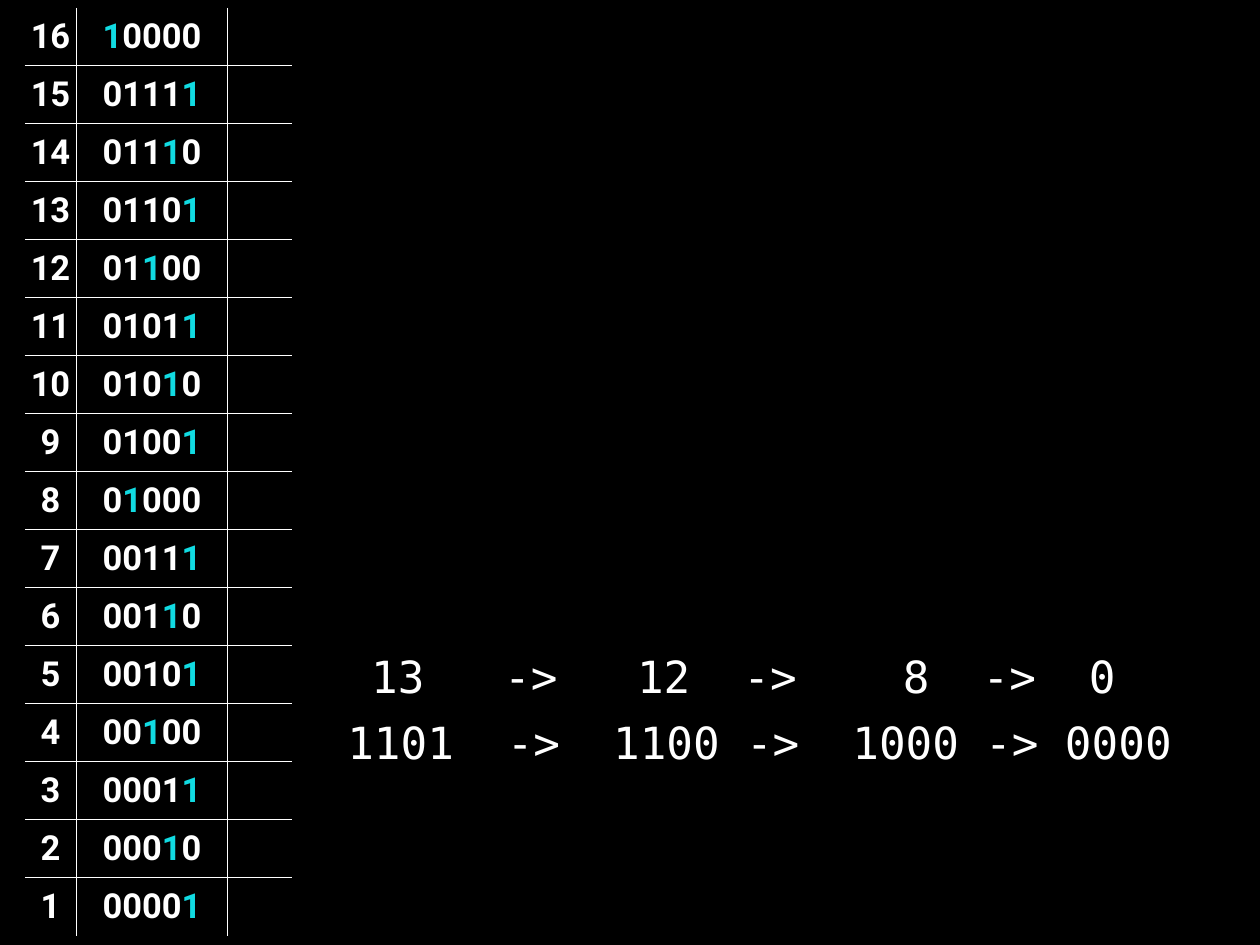
from pptx import Presentation, util as u
from pptx.dml import color as dml
from pptx.enum import text as t
from pptx.oxml import parse_xml
from pptx.oxml import ns

WHITE, CYAN, BLACK = "FFFFFF", "11DBE2", "000000"


def rgb(value):
    return dml.RGBColor.from_string(value)


def add_text(para, content, font="Roboto", size=28, color=WHITE, bold=False):
    span = para.add_run()
    span.text = content
    span.font.name = font
    span.font.size = u.Pt(size)
    span.font.bold = bold
    span.font.color.rgb = rgb(color)


class BitSlide:
    inset = 0.06
    line_width = 1
    line_color = WHITE
    mono_font = "DejaVu Sans Mono"
    mono_size = 36
    mono_advance = 0.3

    def __init__(self, deck):
        self.page = deck.slides.add_slide(deck.slide_layouts[6])
        self.page.background.fill.solid()
        self.page.background.fill.fore_color.rgb = rgb(BLACK)

    def set_margins(self, holder):
        for side in ("left", "top", "right", "bottom"):
            setattr(holder, f"margin_{side}", u.Inches(self.inset))
        holder.vertical_anchor = t.MSO_ANCHOR.MIDDLE

    def set_borders(self, cell, visible):
        properties = cell._tc.get_or_add_tcPr()
        for side in "LRTB":
            paint = "<a:noFill/>"
            if side in visible:
                paint = f'<a:solidFill><a:srgbClr val="{self.line_color}"/></a:solidFill>'
            properties.append(parse_xml(
                f'<a:ln{side} {ns.nsdecls("a")} w="{u.Pt(self.line_width)}">{paint}</a:ln{side}>'))

    def add_bit_table(self, left, top, widths, row_height, numbers):
        frame = self.page.shapes.add_table(
            len(numbers), len(widths), u.Inches(left), u.Inches(top),
            u.Inches(sum(widths)), u.Inches(row_height * len(numbers)))
        table = frame.table
        table.first_row = table.horz_banding = False
        for column, width in zip(table.columns, widths):
            column.width = u.Inches(width)
        for row, number in enumerate(numbers):
            table.rows[row].height = u.Inches(row_height)
            bits = f"{number:05b}"
            lowest = bits.rindex("1")
            contents = (
                [(str(number), WHITE)],
                [(bits[:lowest], WHITE), ("1", CYAN), (bits[lowest + 1:], WHITE)],
                [],
            )
            for col, spans in enumerate(contents):
                cell = table.cell(row, col)
                self.set_margins(cell)
                inner = {"L": col > 0, "R": col < len(widths) - 1,
                         "T": row > 0, "B": row < len(numbers) - 1}
                self.set_borders(cell, [side for side in inner if inner[side]])
                cell.fill.background()
                para = cell.text_frame.paragraphs[0]
                para.alignment = t.PP_ALIGN.CENTER
                for content, color in spans:
                    if content:
                        add_text(para, content, color=color, bold=True)

    def add_chain(self, left, top, width, height, steps, columns):
        box = self.page.shapes.add_textbox(
            u.Inches(left), u.Inches(top), u.Inches(width), u.Inches(height))
        box.text_frame.word_wrap = True
        self.set_margins(box.text_frame)
        para = box.text_frame.paragraphs[0]
        stops = "".join(
            f'<a:tab pos="{u.Inches(column * self.mono_advance)}" algn="l"/>'
            for column in columns)
        para._p.get_or_add_pPr().append(
            parse_xml(f'<a:tabLst {ns.nsdecls("a")}>{stops}</a:tabLst>'))
        add_text(para, "\t->\t".join(steps), font=self.mono_font, size=self.mono_size)


def main():
    deck = Presentation()
    deck.slide_width, deck.slide_height = u.Inches(14.22), u.Inches(10.67)
    slide = BitSlide(deck)
    slide.add_bit_table(0.28, 0.09, (0.58, 1.71, 0.73), 10.48 / 16, range(16, 0, -1))
    values = (13, 12, 8, 0)
    slide.add_chain(4.13, 7.29, 8.55, 0.68,
                    [str(value) for value in values], (5, 10, 14, 20, 23, 27))
    slide.add_chain(3.86, 8.03, 9.46, 0.68,
                    [f"{value:04b}" for value in values], (6, 10, 15, 19, 24, 27))
    deck.save("out.pptx")


if __name__ == "__main__":
    main()
